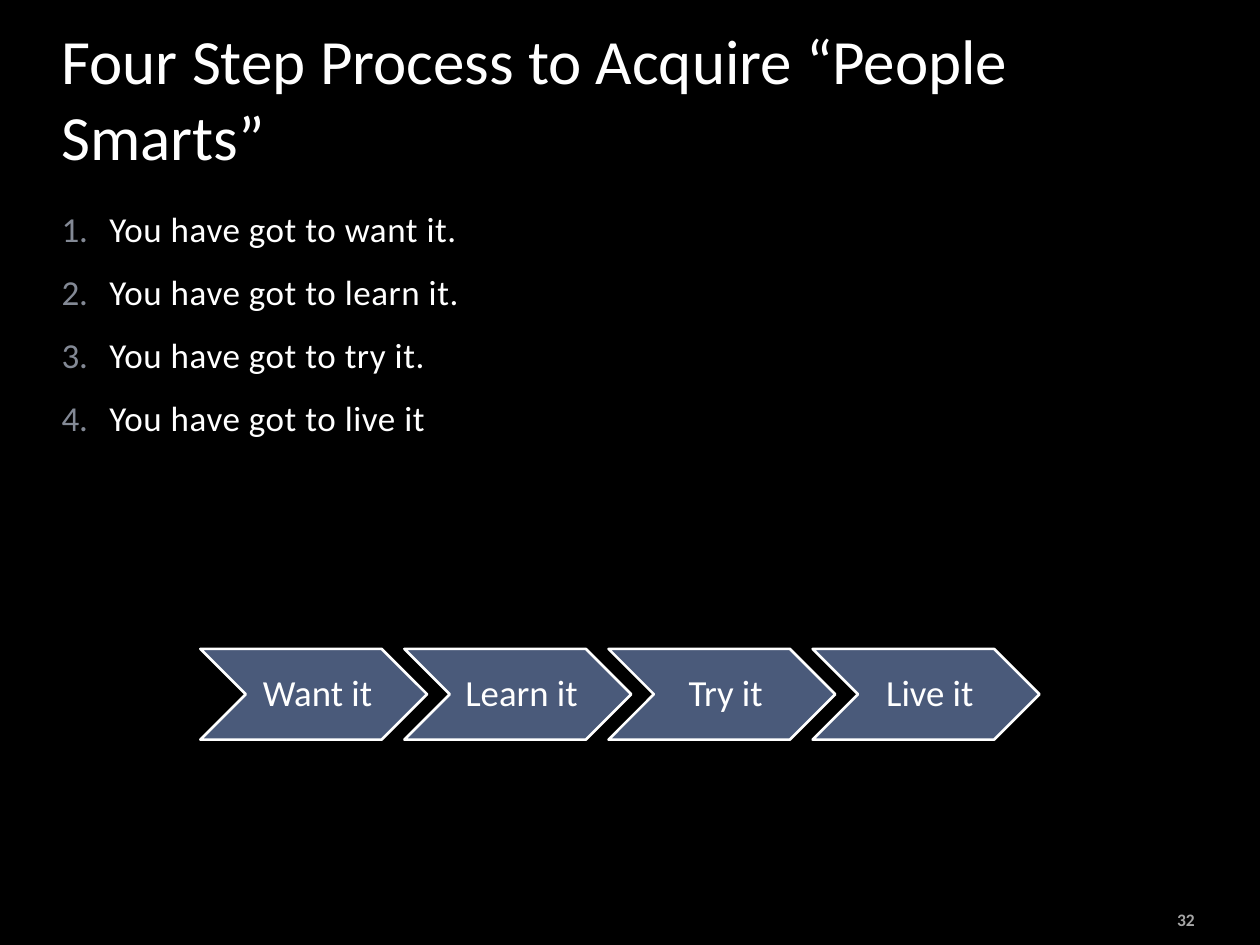
from dataclasses import dataclass
from lxml.etree import SubElement
from pptx import Presentation
from pptx.dml.color import RGBColor
from pptx.enum.shapes import MSO_SHAPE
from pptx.enum.text import MSO_ANCHOR, PP_ALIGN
from pptx.oxml.ns import qn
from pptx.util import Inches, Pt

COLS, ROWS = 100, 75


@dataclass(frozen=True)
class Theme:
    font: str = "Calibri"
    back: str = "000000"
    text: str = "FFFFFF"
    mark: str = "838995"
    step: str = "4A5A7A"
    faint: str = "A6A6A6"
    title: int = 36
    body: int = 20
    label: int = 21
    small: int = 10


def write(para, text, size, color, font, bold=False, align=PP_ALIGN.LEFT,
          before=0, lines=None, track=0):
    """Add a formatted run; track is letter spacing in points."""
    para.alignment = align
    para.space_before = Pt(before)
    if lines:
        para.line_spacing = lines
    run = para.add_run()
    run.text = text
    run.font.name, run.font.size, run.font.bold = font, Pt(size), bold
    run.font.color.rgb = RGBColor.from_string(color)
    if track:
        run.font._element.set("spc", str(round(track * 100)))


def number(para, color, indent):
    """Number a paragraph, with a hanging indent."""
    props = para._p.get_or_add_pPr()
    props.set("marL", str(indent))
    props.set("indent", str(-indent))
    tint = SubElement(props, qn("a:buClr"))
    SubElement(tint, qn("a:srgbClr"), val=color)
    SubElement(props, qn("a:buFont"), typeface="+mj-lt")
    SubElement(props, qn("a:buAutoNum"), type="arabicPeriod")


class Deck:
    def __init__(self, theme):
        self.theme = theme
        self.show = Presentation()
        self.show.slide_width, self.show.slide_height = Inches(10), Inches(7.5)
        self.slide = self.show.slides.add_slide(self.show.slide_layouts[6])
        fill = self.slide.background.fill
        fill.solid()
        fill.fore_color.rgb = RGBColor.from_string(theme.back)

    def place(self, col, row, wide, high):
        across = self.show.slide_width / COLS
        down = self.show.slide_height / ROWS
        return (round(col * across), round(row * down),
                round(wide * across), round(high * down))

    def frame(self, area, anchor):
        box = self.slide.shapes.add_textbox(*self.place(*area)).text_frame
        box.word_wrap = True
        box.vertical_anchor = anchor
        return box

    def text(self, area, text, size, color, anchor, **style):
        para = self.frame(area, anchor).paragraphs[0]
        write(para, text, size, color, self.theme.font, **style)

    def steps(self, area, items):
        look = self.theme
        box = self.frame(area, MSO_ANCHOR.TOP)
        for i, item in enumerate(items):
            para = box.add_paragraph() if i else box.paragraphs[0]
            write(para, item, look.body, look.text, look.font, before=12, track=0.3)
            number(para, look.mark, Inches(0.38))

    def chevron(self, area, label):
        look = self.theme
        shape = self.slide.shapes.add_shape(MSO_SHAPE.CHEVRON, *self.place(*area))
        shape.shadow.inherit = False
        shape.fill.solid()
        shape.fill.fore_color.rgb = RGBColor.from_string(look.step)
        shape.line.color.rgb = RGBColor.from_string(look.text)
        shape.line.width = Pt(1.5)
        box = shape.text_frame
        box.word_wrap = True
        box.vertical_anchor = MSO_ANCHOR.MIDDLE
        box.margin_left = Inches(0.09)
        box.margin_right = box.margin_top = box.margin_bottom = Inches(0.03)
        write(box.paragraphs[0], label, look.label, look.text, look.font,
              align=PP_ALIGN.CENTER, lines=0.9)

    def chain(self, area, pitch, labels):
        """Lay chevrons in a row, starting at area."""
        col, *rest = area
        for i, label in enumerate(labels):
            self.chevron((col + i * pitch, *rest), label)


def main():
    look = Theme()
    deck = Deck(look)
    deck.steps((3.9, 16, 84, 51.7), [
        "You have got to want it.",
        "You have got to learn it.",
        "You have got to try it.",
        "You have got to live it",
    ])
    deck.text((3.9, 2.5, 84, 11.7), "Four Step Process to Acquire “People Smarts”",
              look.title, look.text, MSO_ANCHOR.BOTTOM, before=4)
    deck.chain((15.9, 51.5, 18, 7.2), 16.2,
               ["Want it", "Learn it", "Try it", "Live it"])
    deck.text((86.2, 71.6, 9.6, 2.7), "32", look.small, look.faint,
              MSO_ANCHOR.MIDDLE, bold=True, align=PP_ALIGN.RIGHT)
    deck.show.save("out.pptx")


if __name__ == "__main__":
    main()
